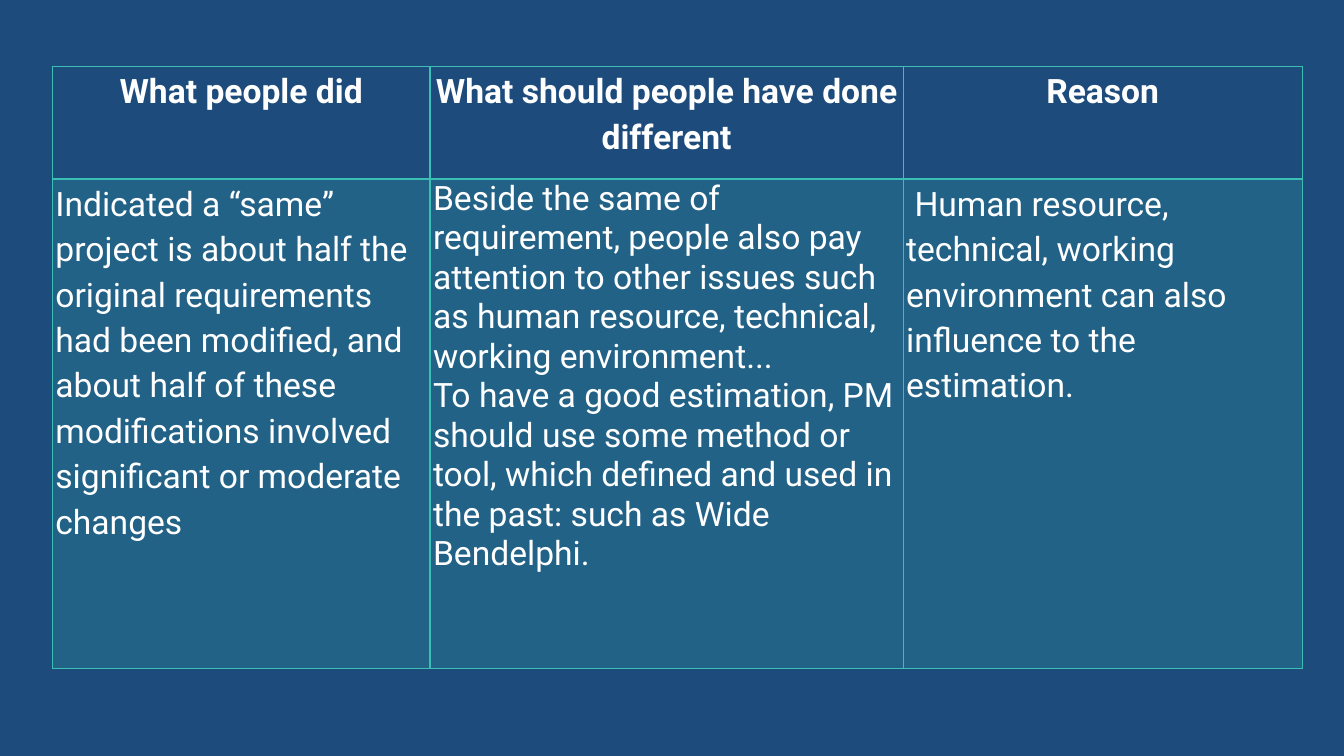
from dataclasses import dataclass

from lxml import etree
from pptx import Presentation, util as u
from pptx.dml.color import RGBColor
from pptx.enum import text
from pptx.oxml import ns
from pptx.slide import Slide
from pptx.table import _Cell

COLOURS = {"backdrop": "1D4C7C", "teal": "3BBEB4", "words": "FFFFFF"}
SLIDE_W, SLIDE_H = u.Inches(13.33), u.Inches(7.5)
LEFT, TOP = 0.039, 0.088  # shares of the slide's width and height
ROW_SHARES = (0.149, 0.647)
FONT, FONT_SIZE = "Roboto", u.Pt(24)
SIDE_MARGIN = u.Inches(0.03)
BODY_OPACITY = 20  # percent


@dataclass(frozen=True)
class Topic:
    width: float  # share of the slide's width
    heading: str
    answers: tuple[str, ...]
    spaced: bool = True


TOPICS = (
    Topic(0.281, "What people did", (
        "Indicated a “same” project is about half the original requirements had been "
        "modified, and about half of these modifications involved significant or "
        "moderate changes",)),
    Topic(0.352, "What should people have done different", (
        "Beside the same of requirement, people also pay attention to other issues "
        "such as human resource, technical, working environment...",
        "To have a good estimation, PM should use some method or tool, which defined "
        "and used in the past: such as Wide Bendelphi."), spaced=False),
    Topic(0.297, "Reason", (
        " Human resource, technical, working environment can also influence to the "
        "estimation.",)),
)


def rgb(name: str) -> RGBColor:
    return RGBColor.from_string(COLOURS[name])


def write(cell: _Cell, paragraphs: tuple[str, ...], heading: bool, spaced: bool) -> None:
    cell.margin_left = cell.margin_right = SIDE_MARGIN
    cell.margin_top = cell.margin_bottom = 0
    frame = cell.text_frame
    for index, words in enumerate(paragraphs):
        paragraph = frame.add_paragraph() if index else frame.paragraphs[0]
        paragraph.alignment = text.PP_ALIGN.CENTER if heading else text.PP_ALIGN.LEFT
        if spaced:
            paragraph.line_spacing = 1.15
            paragraph.space_after = u.Pt(10)
        run = paragraph.add_run()
        run.text = words
        run.font.name, run.font.size = FONT, FONT_SIZE
        run.font.bold = heading
        run.font.color.rgb = rgb("words")


def tint(cell: _Cell) -> None:
    """Fill the cell with see-through teal."""
    cell.fill.solid()
    cell.fill.fore_color.rgb = rgb("teal")
    colour = cell._tc.tcPr.find(".//" + ns.qn("a:srgbClr"))
    etree.SubElement(colour, ns.qn("a:alpha"), val=str(BODY_OPACITY * 1000))


def outline(cell: _Cell, top: int, bottom: int) -> None:
    """Draw the four borders; top and bottom are widths in points."""
    widths = {"a:lnL": 1, "a:lnR": 1, "a:lnT": top, "a:lnB": bottom}
    properties = cell._tc.get_or_add_tcPr()
    for index, (side, width) in enumerate(widths.items()):
        border = etree.Element(ns.qn(side), w=str(u.Pt(width)))
        fill = etree.SubElement(border, ns.qn("a:solidFill"))
        etree.SubElement(fill, ns.qn("a:srgbClr"), val=COLOURS["teal"])
        properties.insert(index, border)


def add_comparison(slide: Slide) -> None:
    table = slide.shapes.add_table(
        len(ROW_SHARES), len(TOPICS),
        int(SLIDE_W * LEFT), int(SLIDE_H * TOP),
        int(SLIDE_W * sum(topic.width for topic in TOPICS)),
        int(SLIDE_H * sum(ROW_SHARES))).table
    table.first_row = table.horz_banding = False
    for row, share in zip(table.rows, ROW_SHARES):
        row.height = int(SLIDE_H * share)
    for column, topic in enumerate(TOPICS):
        table.columns[column].width = int(SLIDE_W * topic.width)
        heading, answer = table.cell(0, column), table.cell(1, column)
        write(heading, (topic.heading,), heading=True, spaced=True)
        heading.fill.background()
        outline(heading, top=1, bottom=2)
        write(answer, topic.answers, heading=False, spaced=topic.spaced)
        tint(answer)
        outline(answer, top=2, bottom=1)


def main() -> None:
    deck = Presentation()
    deck.slide_width, deck.slide_height = SLIDE_W, SLIDE_H
    slide = deck.slides.add_slide(deck.slide_layouts[6])
    slide.background.fill.solid()
    slide.background.fill.fore_color.rgb = rgb("backdrop")
    add_comparison(slide)
    deck.save("out.pptx")


if __name__ == "__main__":
    main()
